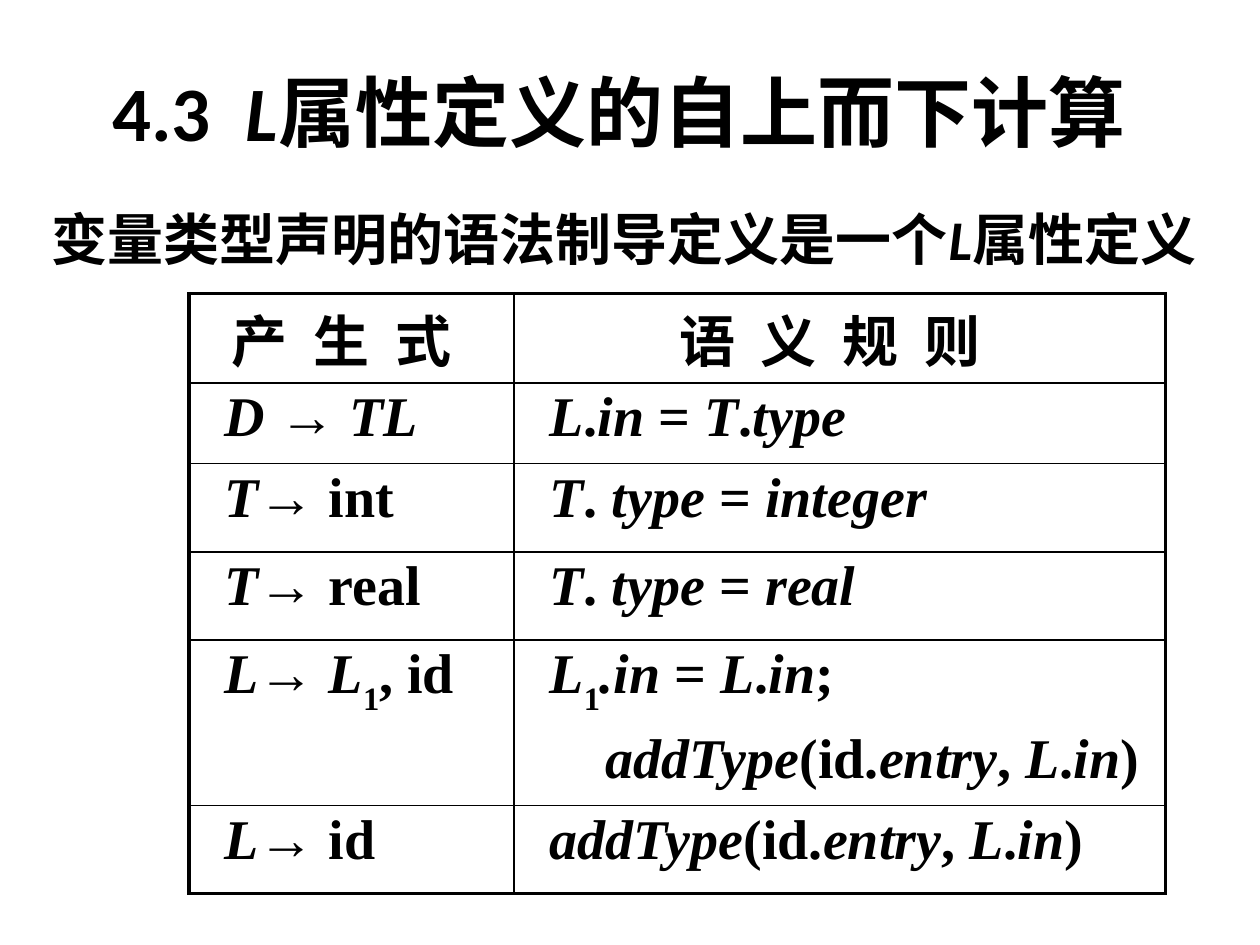
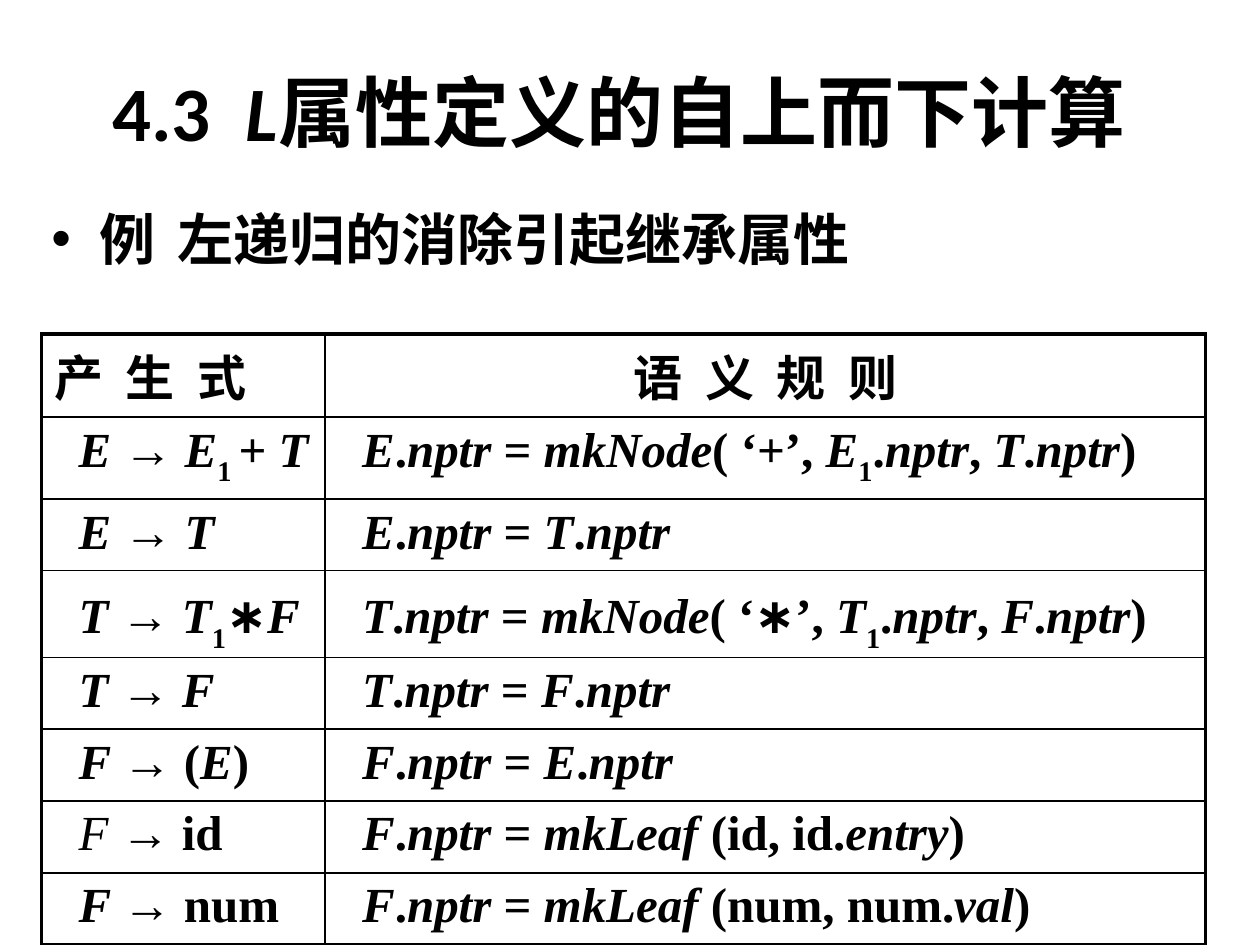
from itertools import groupby

from lxml import etree
from pptx import Presentation
from pptx.dml.color import RGBColor
from pptx.enum.text import MSO_ANCHOR, PP_ALIGN
from pptx.oxml.ns import qn
from pptx.util import Inches, Pt

BLACK = RGBColor(0, 0, 0)
CENTER, LEFT = PP_ALIGN.CENTER, PP_ALIGN.LEFT
MIDDLE, TOP = MSO_ANCHOR.MIDDLE, MSO_ANCHOR.TOP
SERIF, SANS, HAN = "Times New Roman", "Calibri", "Noto Sans CJK SC"
THIN, THICK = 1, 2.25
TITLE_BOX = (0.33, 0.25, 9.17, 1.25)

DECL_ROWS = [
    ("产 生 式 ", "语 义 规 则 "),
    ("*D *→ *TL*", "*L*.*in* = *T*.*type*"),
    ("*T*→ int", "*T*.* type* = *integer*"),
    ("*T*→ real", "*T*.* type* = *real*"),
    ("*L*→ *L*_1_, id", "*L*_1_*.in* = *L*.*in*;\n*addType*(id.*entry*, *L*.*in*)"),
    ("*L*→ id", "*addType*(id.*entry*, *L*.*in*)"),
]
EXPR_ROWS = [
    ("产 生 式", "语 义 规 则"),
    ("*E *→ *E*_1 _+ *T*", "*E*.*nptr* = *mkNode*( ‘+’, *E*_1_.*nptr*,* T*.*nptr*)"),
    ("*E *→* T*", "*E*.*nptr* = *T*.*nptr*"),
    ("*T *→ *T*_1_∗*F*", "*T*.*nptr* = *mkNode*( ‘∗’, *T*_1_.*nptr*,* F*.*nptr*)"),
    ("*T *→ *F*", "*T*.*nptr* = *F*.*nptr*"),
    ("*F *→ (*E*)", "*F*.*nptr* = *E*.*nptr*"),
    ("~*F *→~ id", "*F*.*nptr* = *mkLeaf *(id, id.*entry*)"),
    ("*F *→ num", "*F*.*nptr* = *mkLeaf *(num, num.*val*)"),
]


def add_run(para, text, size, face, bold=True, italic=False, sub=False, gap=0):
    """Add one run; gap is extra letter spacing in points."""
    run = para.add_run()
    run.text = text
    font = run.font
    font.size, font.name, font.bold, font.italic = Pt(size), face, bold, italic
    font.color.rgb = BLACK
    props = run._r.get_or_add_rPr()
    if sub:
        props.set("baseline", "-30000")
    if gap:
        props.set("spc", str(round(gap * 100)))
    east = etree.Element(qn("a:ea"), typeface=HAN if face == SANS else face)
    props.find(qn("a:latin")).addnext(east)


def add_marked(para, text, size):
    """Add runs where * toggles italic, _ subscript and ~ light weight."""
    on = {"*": False, "_": False, "~": False}
    chars = []
    for char in text:
        if char in on:
            on[char] = not on[char]
        else:
            face = HAN if char == "∗" else SERIF
            chars.append((char, (face, not on["~"], on["*"], on["_"])))
    for style, group in groupby(chars, key=lambda pair: pair[1]):
        add_run(para, "".join(char for char, _ in group), size, *style)


def set_indent(para, left, first=0):
    """Set the left margin and first-line indent of a paragraph."""
    props = para._p.get_or_add_pPr()
    props.set("marL", str(Inches(left)))
    props.set("indent", str(Inches(first)))
    return props


def add_title(slide):
    """Place and write the shared title."""
    title = slide.shapes.title
    title.left, title.top, title.width, title.height = map(Inches, TITLE_BOX)
    frame = title.text_frame
    frame.vertical_anchor = MIDDLE
    para = frame.paragraphs[0]
    para.alignment = CENTER
    add_run(para, "4.3", 44, SANS)
    add_run(para, " ", 44, SANS, gap=10)
    add_run(para, "L", 44, SANS, italic=True)
    add_run(para, "属性定义的自上而下计算", 44, SANS)


def add_lead(slide, width, parts, bullet=False):
    """Write the lead line below the title from (text, italic) parts."""
    box = slide.shapes.add_textbox(*map(Inches, (0.31, 1.57, width, 5.51)))
    frame = box.text_frame
    frame.word_wrap = True
    para = frame.paragraphs[0]
    props = set_indent(para, 0.38, -0.38)
    if bullet:
        etree.SubElement(props, qn("a:buFont"), typeface="Arial")
        etree.SubElement(props, qn("a:buChar"), char="•")
    for text, italic in parts:
        add_run(para, text, 32, SANS if italic else HAN, italic=italic)


def set_edges(cell, widths):
    """Draw the cell borders, given left, right, top and bottom widths."""
    props = cell._tc.get_or_add_tcPr()
    for side, width in zip("LRTB", widths):
        line = etree.SubElement(props, qn(f"a:ln{side}"), w=str(Pt(width)))
        fill = etree.SubElement(line, qn("a:solidFill"))
        etree.SubElement(fill, qn("a:srgbClr"), val=str(BLACK))


def fill_cell(cell, text, size, head, align):
    """Write a heading or a rule, with later lines set deeper."""
    frame = cell.text_frame
    for index, line in enumerate(text.split("\n")):
        para = frame.add_paragraph() if index else frame.paragraphs[0]
        para.alignment = align
        if head:
            add_run(para, line, size, HAN, gap=size / 8.5)
            continue
        props = set_indent(para, size / 144 * (3 if index else 1))
        if index:
            space = etree.SubElement(props, qn("a:spcBef"))
            etree.SubElement(space, qn("a:spcPct"), val="20000")
        add_marked(para, line, size)


def add_rules(slide, box, cols, heights, rows, size, pad, aligns):
    """Build a table of productions and semantic rules."""
    shape = slide.shapes.add_table(len(rows), len(cols), *map(Inches, box))
    table = shape.table
    table.first_row = table.horz_banding = False
    for col, width in zip(table.columns, cols):
        col.width = Inches(width)
    for r, (row, height) in enumerate(zip(rows, heights)):
        table.rows[r].height = Inches(height)
        for c, text in enumerate(row):
            cell = table.cell(r, c)
            cell.margin_left = cell.margin_right = Inches(pad)
            cell.margin_top = cell.margin_bottom = Inches(pad / 2)
            cell.vertical_anchor = TOP
            outer = (c == 0, c == len(cols) - 1, r == 0, r == len(rows) - 1)
            set_edges(cell, [THICK if edge else THIN for edge in outer])
            cell.fill.background()
            fill_cell(cell, text, size, r == 0, LEFT if r else aligns[c])


def add_slide(deck):
    """Add a slide with the shared title."""
    slide = deck.slides.add_slide(deck.slide_layouts[5])
    add_title(slide)
    return slide


def build_decl(deck):
    """Build the slide on variable declarations."""
    slide = add_slide(deck)
    add_lead(slide, 9.45, [("变量类型声明的语法制导定义是一个", False),
                           ("L", True), ("属性定义", False)])
    add_rules(slide, (1.5, 2.33, 7.75, 4.69), (2.58, 5.17),
              (0.71, 0.64, 0.7, 0.7, 1.24, 0.7), DECL_ROWS, 32, 0.06,
              (CENTER, CENTER))


def build_expr(deck):
    """Build the slide on left recursion."""
    slide = add_slide(deck)
    add_lead(slide, 9.37, [("例\t左递归的消除引起继承属性", False)], bullet=True)
    add_rules(slide, (0.33, 2.65, 9.24, 4.82), (2.25, 6.99),
              [0.66, 0.65, 0.55, 0.69] + [0.57] * 4,
              EXPR_ROWS, 28, 0.1, (LEFT, CENTER))


def main():
    """Build and save the deck."""
    deck = Presentation()
    deck.slide_width, deck.slide_height = Inches(10), Inches(7.5)
    build_decl(deck)
    build_expr(deck)
    deck.save("out.pptx")


if __name__ == "__main__":
    main()
